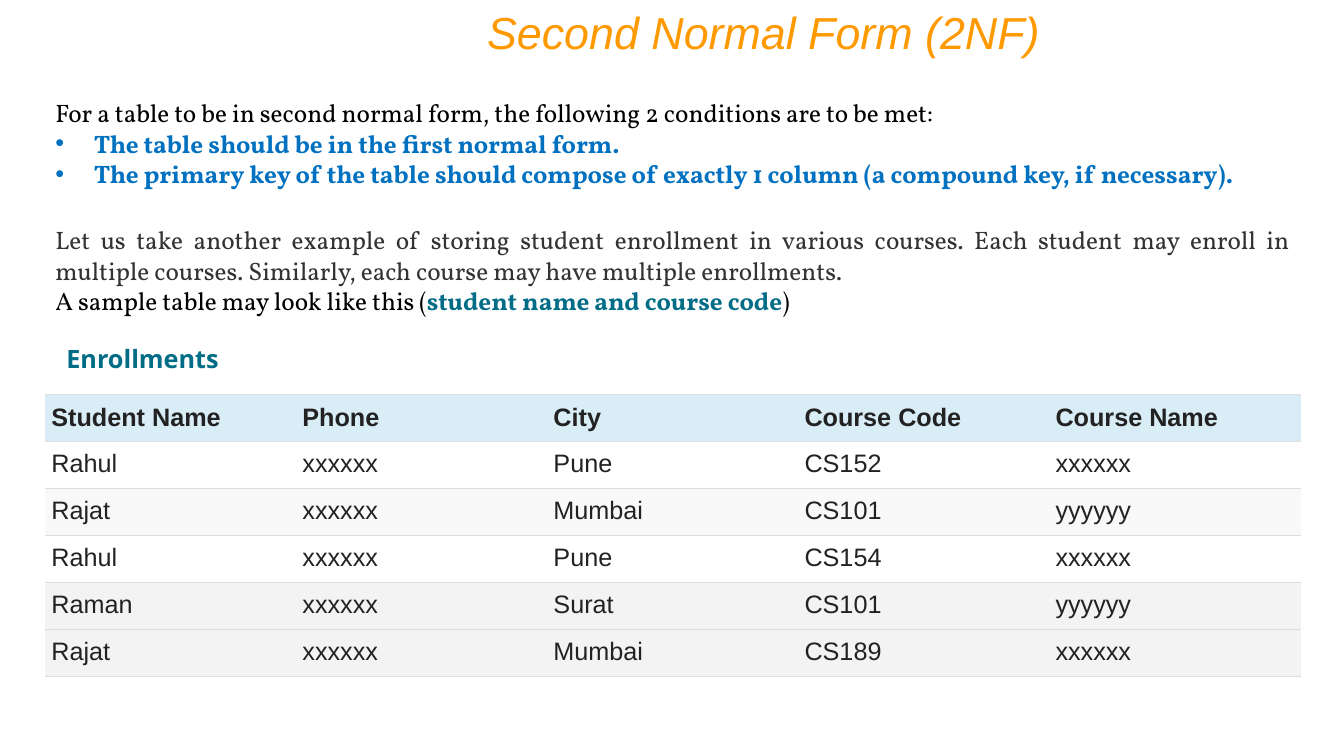
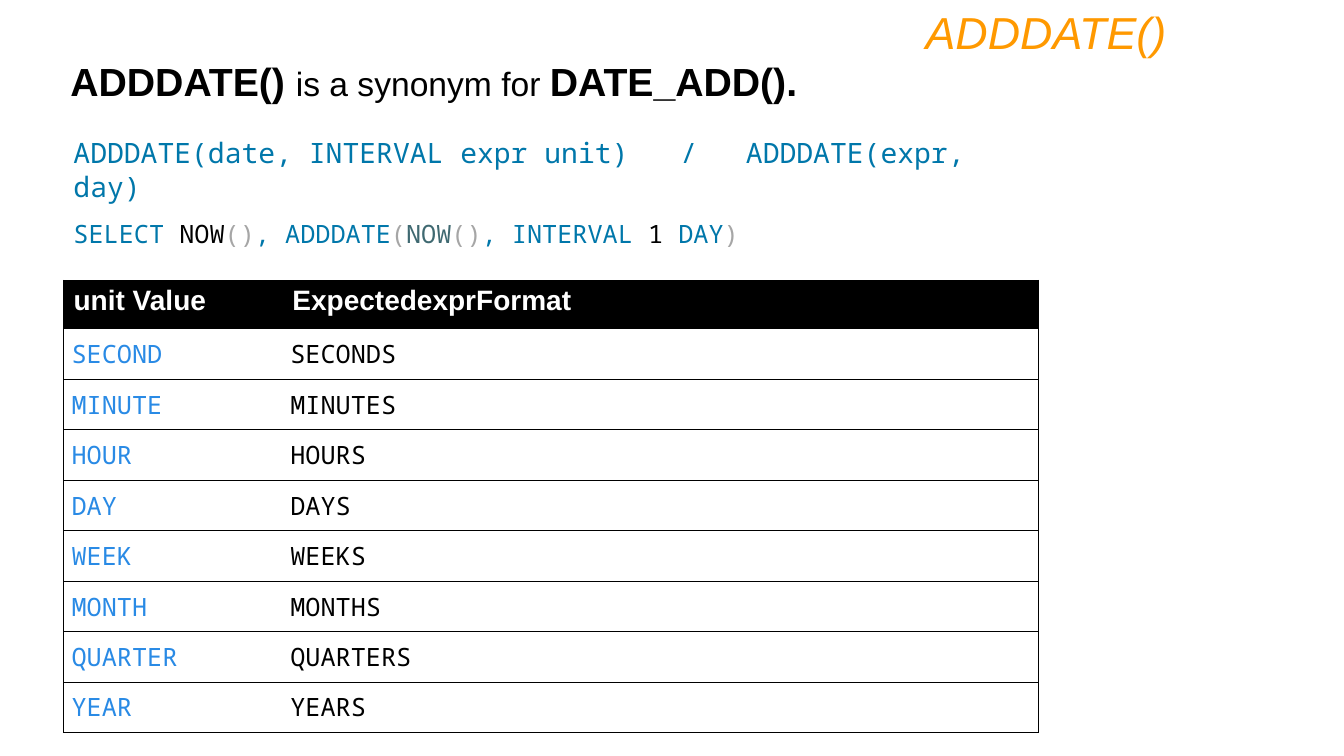
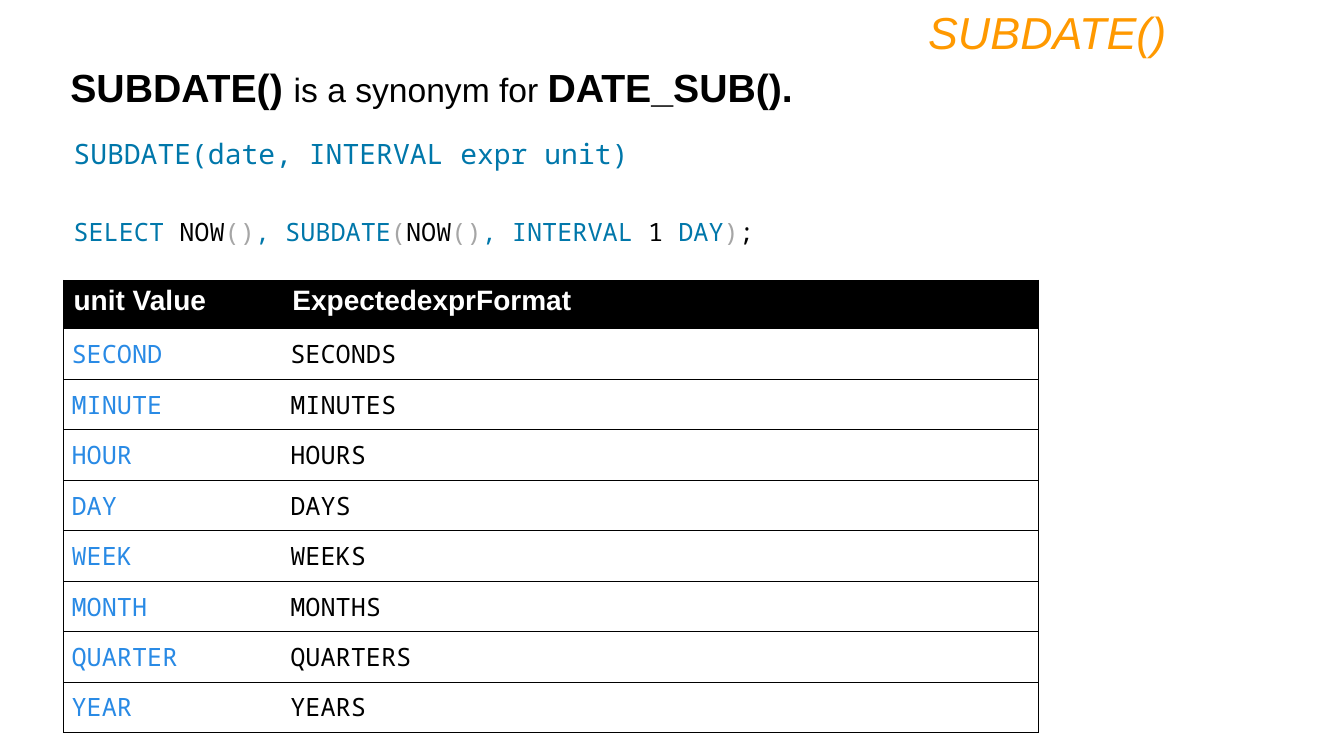
import collections
import pptx
import pptx.util
import pptx.dml.color
import pptx.enum.text
import pptx.oxml.ns
import lxml.etree

Face = collections.namedtuple("Face", "font size color bold italic", defaults=(False, False))
ALIGN = pptx.enum.text.PP_ALIGN
ANCHOR = pptx.enum.text.MSO_ANCHOR
SCALE = 9144  # EMU in one px, 100 px to the inch


# Colours and type sizes
class Theme:
    white, black = "FFFFFF", "000000"
    head_fill, pale, grey = "D9EDF7", "F9F9F9", "F3F3F3"
    rule = "DDDDDD"
    title = Face("Arial", 32, "FF9900", italic=True)
    body = Face("Vollkorn", 18, black)
    point = Face("Vollkorn", 18, "0070C0", bold=True)
    story = Face("Vollkorn", 18, "333333")
    key = Face("Vollkorn", 18, "006C86", bold=True)
    label = Face("Open Sans", 18, "006C86", bold=True)
    cell = Face("Arial", 18, "222222")
    cell_head = cell._replace(bold=True)
    lead = Face("Arial", 24, black)
    term = Face("Arial", 28, black, bold=True)
    syntax = Face("Noto Sans Mono", 20, "0077AA")
    code = Face("Noto Sans Mono", 18, "0077AA")
    plain = code._replace(color=black)
    mark = code._replace(color="A6A6A6")
    call = code._replace(color="3F6971")
    unit = code._replace(color="298AE5")
    unit_head = Face("Arial", 20, white, bold=True)


def px(count):
    return pptx.util.Emu(count * SCALE)


def rgb(color):
    return pptx.dml.color.RGBColor.from_string(color)


def add_tag(parent, tag, **attrs):
    return lxml.etree.SubElement(parent, pptx.oxml.ns.qn(tag), attrs)


# Text
def style(run, face):
    font = run.font
    font.name, font.size = face.font, pptx.util.Pt(face.size)
    font.bold, font.italic = face.bold, face.italic
    font.color.rgb = rgb(face.color)


def write(para, text, face):
    para.text = text
    style(para.runs[0], face)


def blend(para, parts):
    for text, face in parts:
        run = para.add_run()
        run.text = text
        style(run, face)


def place(shape, left, top, width, height):
    shape.left, shape.top = px(left), px(top)
    shape.width, shape.height = px(width), px(height)
    frame = shape.text_frame
    frame.word_wrap = True
    frame.auto_size = pptx.enum.text.MSO_AUTO_SIZE.NONE
    frame.vertical_anchor = ANCHOR.TOP
    return frame


def add_box(slide, *area):
    shape = slide.shapes.add_textbox(0, 0, 0, 0)
    return place(shape, *area)


def add_slide(deck, layout, title, left, width):
    slide = deck.slides.add_slide(deck.slide_layouts[layout])
    frame = place(slide.shapes.title, left, 0, width, 64)
    write(frame.paragraphs[0], title, Theme.title)
    frame.paragraphs[0].alignment = ALIGN.RIGHT
    return slide


def set_bullet(para, char=None, indent=0):
    props = para._p.get_or_add_pPr()
    props.set("marL", str(px(indent)))
    props.set("indent", str(-px(indent)))
    if char:
        add_tag(props, "a:buFont", typeface="Arial")
        add_tag(props, "a:buChar", char=char)
    else:
        add_tag(props, "a:buNone")
    para.space_before = pptx.util.Pt(0)


def set_tabs(para, *stops):
    tabs = add_tag(para._p.get_or_add_pPr(), "a:tabLst")
    for stop in stops:
        add_tag(tabs, "a:tab", pos=str(px(stop)), algn="l")


# Tables
def set_edges(cell, sides, color):
    props = cell._tc.get_or_add_tcPr()
    for side in "LRTB":
        line = add_tag(props, "a:ln" + side, w="9525")
        if side in sides:
            fill = add_tag(line, "a:solidFill")
            add_tag(fill, "a:srgbClr", val=color)
        else:
            add_tag(line, "a:noFill")


def add_grid(slide, rows, area, widths):
    left, top, width, height = map(px, area)
    shape = slide.shapes.add_table(len(rows), len(widths), left, top, width, height)
    table = shape.table
    table.first_row = table.horz_banding = False
    for column, share in zip(table.columns, widths):
        column.width = px(share)
    for row in table.rows:
        row.height = height // len(rows)
    for cells, texts in zip(table.rows, rows):
        for cell, text in zip(cells.cells, texts):
            cell.text = text
    return table


def paint(cell, face, fill, sides, rule, pad=None):
    style(cell.text_frame.paragraphs[0].runs[0], face)
    set_edges(cell, sides, rule)
    cell.fill.solid()
    cell.fill.fore_color.rgb = rgb(fill)
    if pad:
        cell.margin_left = cell.margin_right = px(pad[0])
        cell.margin_top = cell.margin_bottom = px(pad[1])


def add_units(slide):
    units = ["SECOND", "MINUTE", "HOUR", "DAY", "WEEK", "MONTH", "QUARTER", "YEAR"]
    rows = [("unit Value", "ExpectedexprFormat")] + [(unit, unit + "S") for unit in units]
    table = add_grid(slide, rows, (63, 278, 967, 435), (217, 750))
    for index, row in enumerate(table.rows):
        for cell, side, face in zip(row.cells, "LR", (Theme.unit, Theme.plain)):
            if index == 0:
                paint(cell, Theme.unit_head, Theme.black, side + "TB", Theme.black)
            else:
                paint(cell, face, Theme.white, side + "TB", Theme.black, (8, 8))


# Slides
def form_slide(deck):
    slide = add_slide(deck, 1, "Second Normal Form (2NF)", 292, 750)

    # Conditions
    lines = [
        "For a table to be in second normal form, the following 2 conditions are to be met:",
        "The table should be in the first normal form.",
        "The primary key of the table should compose of exactly 1 column "
        "(a compound key, if necessary).",
    ]
    frame = place(slide.placeholders[1], 45, 92, 1244, 101)
    frame.text = "\n".join(lines)
    for index, para in enumerate(frame.paragraphs):
        if index == 0:
            set_bullet(para)
        else:
            set_bullet(para, "•", 38)
        style(para.runs[0], Theme.point if index else Theme.body)

    # Example
    frame = add_box(slide, 45, 218, 1244, 101)
    write(frame.paragraphs[0],
          "Let us take another example of storing student enrollment in various courses. "
          "Each student may enroll in multiple courses. Similarly, each course may have "
          "multiple enrollments.", Theme.story)
    blend(frame.add_paragraph(), [
        ("A sample table may look like this (", Theme.body),
        ("student name and course code", Theme.key),
        (")", Theme.body),
    ])
    for para in frame.paragraphs:
        para.alignment = ALIGN.JUSTIFY

    # Enrollments
    frame = add_box(slide, 56, 336, 319, 40)
    write(frame.paragraphs[0], "Enrollments", Theme.label)
    rows = [
        ("Student Name", "Phone", "City", "Course Code", "Course Name"),
        ("Rahul", "xxxxxx", "Pune", "CS152", "xxxxxx"),
        ("Rajat", "xxxxxx", "Mumbai", "CS101", "yyyyyy"),
        ("Rahul", "xxxxxx", "Pune", "CS154", "xxxxxx"),
        ("Raman", "xxxxxx", "Surat", "CS101", "yyyyyy"),
        ("Rajat", "xxxxxx", "Mumbai", "CS189", "xxxxxx"),
    ]
    fills = [Theme.head_fill, Theme.white, Theme.pale, Theme.white, Theme.grey, Theme.grey]
    table = add_grid(slide, rows, (45, 391, 1245, 280), [249] * 5)
    for index, (row, fill) in enumerate(zip(table.rows, fills)):
        for cell in row.cells:
            face = Theme.cell if index else Theme.cell_head
            paint(cell, face, fill, "TB", Theme.rule, (6, 8))
            if index == 0:
                cell.vertical_anchor = ANCHOR.MIDDLE


def date_slide(deck, name, twin, syntax, tops, inner, tail):
    slide = add_slide(deck, 5, name + "()", 167, 1000)
    lead_top, syntax_top, code_top = tops

    # Synonym
    frame = add_box(slide, 60, lead_top, 954, 57)
    blend(frame.paragraphs[0], [
        (name + "() ", Theme.term),
        ("is a synonym for ", Theme.lead),
        (twin + "().", Theme.term),
    ])

    # Syntax
    frame = add_box(slide, 63, syntax_top, 949, 44)
    set_tabs(frame.paragraphs[0], 602, 667)
    write(frame.paragraphs[0], syntax, Theme.syntax)

    # Query
    frame = add_box(slide, 63, code_top, 954, 40)
    blend(frame.paragraphs[0], [
        ("SELECT ", Theme.code), ("NOW", Theme.plain), ("()", Theme.mark),
        (", " + name, Theme.code), ("(", Theme.mark), ("NOW", inner),
        ("()", Theme.mark), (", INTERVAL ", Theme.code), ("1 ", Theme.plain),
        ("DAY", Theme.code), (")", Theme.mark),
    ] + tail)

    add_units(slide)


def main():
    deck = pptx.Presentation()
    deck.slide_width, deck.slide_height = px(1333), px(750)
    form_slide(deck)
    date_slide(deck, "ADDDATE", "DATE_ADD",
               "ADDDATE(date, INTERVAL expr unit)\t/\tADDDATE(expr, day)",
               (52, 130, 212), Theme.call, [])
    date_slide(deck, "SUBDATE", "DATE_SUB", "SUBDATE(date, INTERVAL expr unit)",
               (58, 131, 210), Theme.plain, [(";", Theme.plain)])
    deck.save("out.pptx")


if __name__ == "__main__":
    main()
